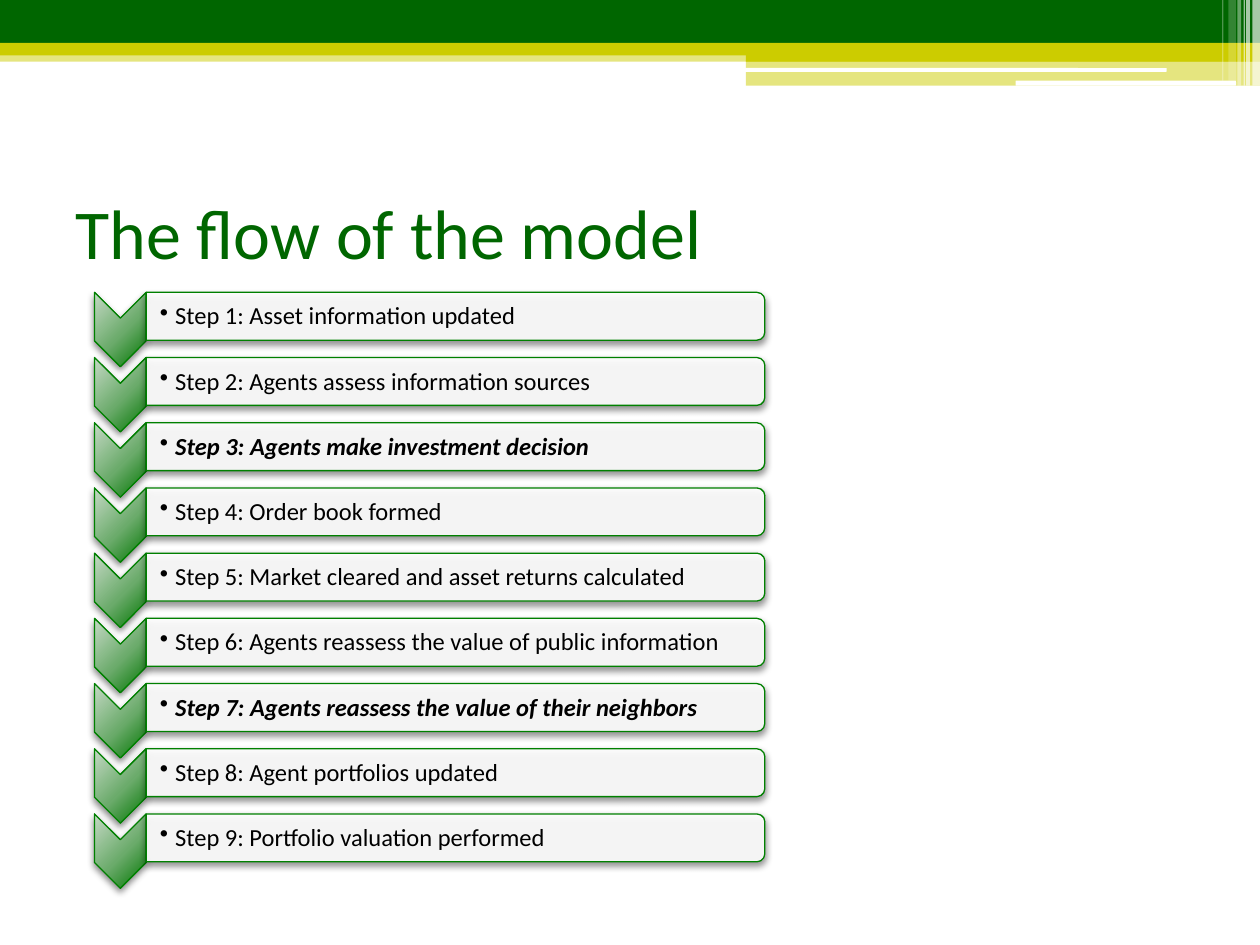
from lxml.etree import SubElement
from pptx import Presentation
from pptx.dml.color import RGBColor
from pptx.enum.shapes import MSO_SHAPE
from pptx.enum.text import MSO_ANCHOR
from pptx.oxml import parse_xml
from pptx.oxml.ns import nsdecls, qn
from pptx.util import Inches, Pt

WIDTH, HEIGHT = 10, 7.5
GREEN, YELLOW, WHITE, BLACK = "006600", "CCCC00", "FFFFFF", "000000"
OUTLINE = "008000"
CHEVRON_STOPS = [(0, "C4D9C4"), (55, "6BAB6B"), (100, "007700")]

# left, top, width, height, colour, opacity in percent
BANDS = [
    (0, 0.4, WIDTH, 0.09, YELLOW, 50),
    (0, 0, WIDTH, 0.34, GREEN, 100),
    (0, 0.34, WIDTH, 0.1, YELLOW, 100),
    (5.92, 0.39, 4.08, 0.1, YELLOW, 100),
    (5.92, 0.48, 4.08, 0.2, YELLOW, 50),
]
WHITE_BARS = [(5.91, 0.54, 3.35, 0.03), (8.06, 0.64, 1.75, 0.04)]
# left, width, height, opacity in percent
STRIPES = [
    (9.94, 0.06, 0.68, 65),
    (9.89, 0.03, 0.68, 65),
    (9.87, 0.01, 0.68, 60),
    (9.82, 0.03, 0.68, 40),
    (9.75, 0.06, 0.64, 20),
    (9.7, 0.01, 0.64, 30),
]

STEPS = [
    "Step 1: Asset information updated",
    "Step 2: Agents assess information sources",
    "Step 3: Agents make investment decision",
    "Step 4: Order book formed",
    "Step 5: Market cleared and asset returns calculated",
    "Step 6: Agents reassess the value of public information",
    "Step 7: Agents reassess the value of their neighbors",
    "Step 8: Agent portfolios updated",
    "Step 9: Portfolio valuation performed",
]
KEY_STEPS = (3, 7)
FIRST_ROW, LAST_ROW = 2.34, 6.48
ROW_PITCH = (LAST_ROW - FIRST_ROW) / (len(STEPS) - 1)


def color(value):
    return RGBColor.from_string(value)


def add_block(page, kind, left, top, width, height, fill, opacity=100):
    block = page.shapes.add_shape(
        kind, Inches(left), Inches(top), Inches(width), Inches(height))
    block.shadow.inherit = False
    block.line.fill.background()
    block.fill.solid()
    block.fill.fore_color.rgb = color(fill)
    if opacity < 100:
        tint = block.fill._xPr.find(".//" + qn("a:srgbClr"))
        SubElement(tint, qn("a:alpha"), val=str(opacity * 1000))
    return block


def add_turned_block(page, kind, left, top, width, height, opacity=100):
    """Add an outlined, shadowed shape turned 90 degrees that fills the given area."""
    middle_x, middle_y = left + width / 2, top + height / 2
    block = add_block(page, kind, middle_x - height / 2, middle_y - width / 2,
                      height, width, WHITE, opacity)
    block.rotation = 90
    block.line.color.rgb = color(OUTLINE)
    block.line.width = Pt(0.75)
    effects = block._element.spPr.find(qn("a:effectLst"))
    shadow = SubElement(effects, qn("a:outerShdw"), blurRad=str(Pt(4)),
                        dist=str(Pt(2)), dir="5400000", rotWithShape="0")
    tint = SubElement(shadow, qn("a:srgbClr"), val=BLACK)
    SubElement(tint, qn("a:alpha"), val="45000")
    return block


def set_radial_fill(block, stops):
    """Spread the colours from a point beyond the shape's top left corner."""
    stop_xml = "".join(
        f'<a:gs pos="{place * 1000}"><a:srgbClr val="{value}"/></a:gs>'
        for place, value in stops)
    gradient = parse_xml(
        f'<a:gradFill {nsdecls("a")} rotWithShape="1"><a:gsLst>{stop_xml}</a:gsLst>'
        '<a:path path="circle"><a:fillToRect l="-40000" t="-90000" r="140000" b="190000"/>'
        '</a:path></a:gradFill>')
    properties = block._element.spPr
    properties.replace(properties.find(qn("a:solidFill")), gradient)


def add_text(page, left, top, width, height, text, size, fill, strong=False):
    box = page.shapes.add_textbox(
        Inches(left), Inches(top), Inches(width), Inches(height))
    frame = box.text_frame
    frame.word_wrap = True
    frame.vertical_anchor = MSO_ANCHOR.MIDDLE
    span = frame.paragraphs[0].add_run()
    span.text = text
    span.font.name = "Calibri"
    span.font.size = Pt(size)
    span.font.color.rgb = color(fill)
    if strong:
        span.font.bold = span.font.italic = True
    return frame


def make_bullet(para, indent):
    properties = para._p.get_or_add_pPr()
    properties.set("marL", str(Inches(indent)))
    properties.set("indent", str(-Inches(indent)))
    SubElement(properties, qn("a:buChar"), char="•")
    para.line_spacing = 0.9


def add_header(page):
    for band in BANDS:
        add_block(page, MSO_SHAPE.RECTANGLE, *band)
    for bar in WHITE_BARS:
        add_block(page, MSO_SHAPE.ROUNDED_RECTANGLE, *bar, WHITE)
    for left, width, height, opacity in STRIPES:
        add_block(page, MSO_SHAPE.RECTANGLE, left, 0, width, height, WHITE, opacity)


def add_step(page, number, text):
    top = FIRST_ROW + (number - 1) * ROW_PITCH
    chevron = add_turned_block(page, MSO_SHAPE.CHEVRON, 0.75, top - 0.02, 0.41, 0.59)
    set_radial_fill(chevron, CHEVRON_STOPS)
    add_turned_block(page, MSO_SHAPE.ROUND_2_SAME_RECTANGLE,
                     1.16, top - 0.02, 4.91, 0.38, opacity=90)
    frame = add_text(page, 1.16, top, 4.89, 0.35, text, 14, BLACK,
                     strong=number in KEY_STEPS)
    frame.margin_left = Inches(0.11)
    frame.margin_top = frame.margin_right = frame.margin_bottom = Inches(0.01)
    make_bullet(frame.paragraphs[0], 0.12)


def main():
    deck = Presentation()
    deck.slide_width, deck.slide_height = Inches(WIDTH), Inches(HEIGHT)
    page = deck.slides.add_slide(deck.slide_layouts[6])
    add_header(page)
    add_text(page, 0.5, 1.25, 9, 1.17, "The flow of the model", 40, GREEN)
    for number, text in enumerate(STEPS, start=1):
        add_step(page, number, text)
    deck.save("out.pptx")


if __name__ == "__main__":
    main()
